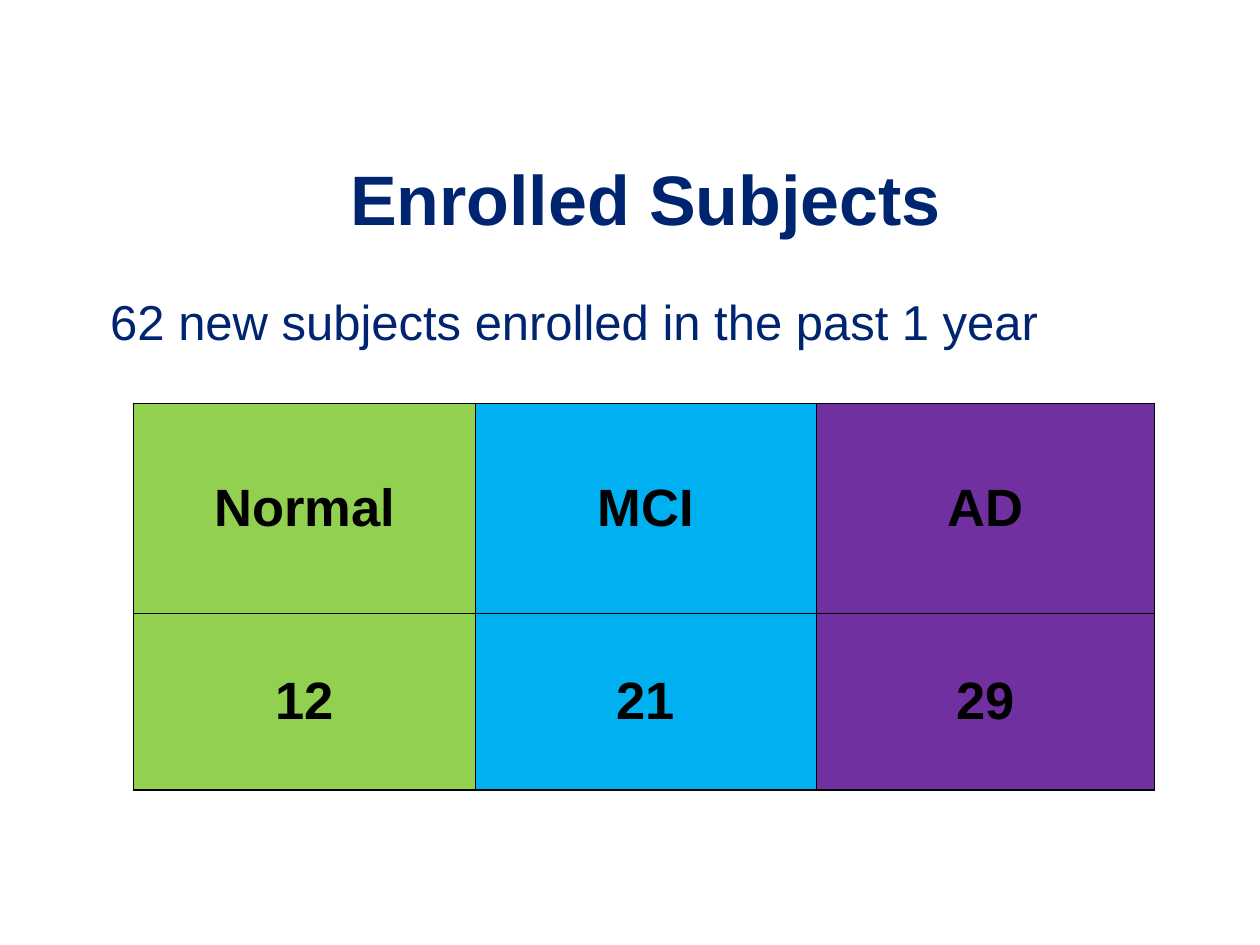
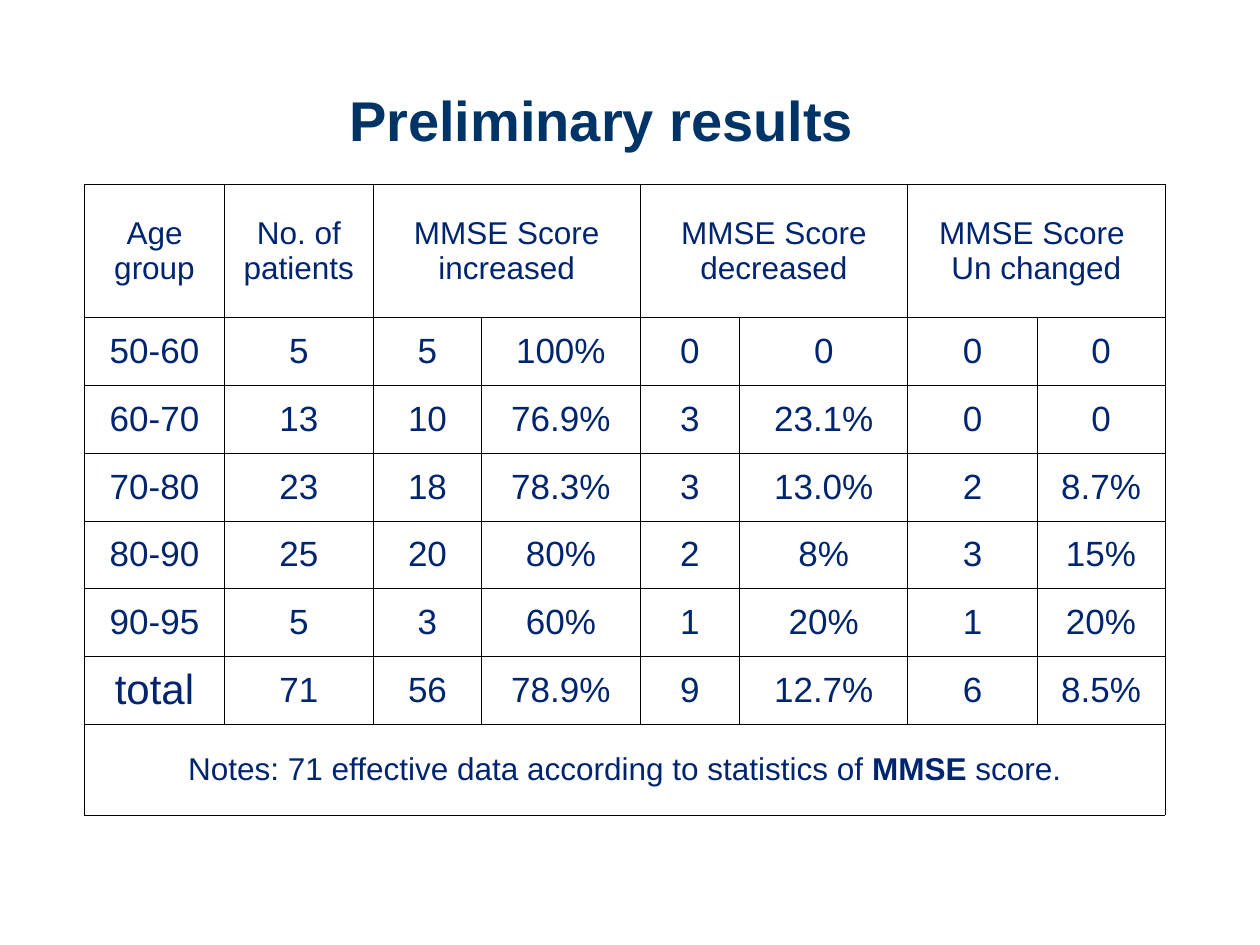
from lxml.etree import SubElement
from pptx import Presentation
from pptx.dml.color import RGBColor
from pptx.enum.text import MSO_ANCHOR, MSO_AUTO_SIZE, PP_ALIGN
from pptx.oxml.ns import qn
from pptx.util import Pt

COLORS = {
    "navy": "002570",
    "title_blue": "003366",
    "black": "000000",
    "green": "92D050",
    "blue": "00B0F0",
    "purple": "7030A0",
}
FONT = "Arial"
THIN, THICK = 0.45, 1.08


def add_runs(paragraph, runs, size, color):
    paragraph.alignment = PP_ALIGN.CENTER
    paragraph.space_before = Pt(0)
    for text, bold in runs:
        run = paragraph.add_run()
        run.text = text
        run.font.name = FONT
        run.font.size = Pt(size)
        run.font.bold = bold
        run.font.color.rgb = RGBColor.from_string(COLORS[color])


def format_cell(cell, side_margin, left=THIN, right=THIN, top=THIN, bottom=THIN):
    cell.vertical_anchor = MSO_ANCHOR.MIDDLE
    cell.margin_left = cell.margin_right = Pt(side_margin)
    cell.margin_top = cell.margin_bottom = Pt(3.6)
    properties = cell._tc.get_or_add_tcPr()
    for side, width in zip("LRTB", (left, right, top, bottom)):
        line = SubElement(properties, qn(f"a:ln{side}"), w=str(Pt(width)))
        fill = SubElement(line, qn("a:solidFill"))
        SubElement(fill, qn("a:srgbClr"), val=COLORS["black"])


presentation = Presentation()
presentation.slide_width = Pt(720)
presentation.slide_height = Pt(540)

slide_specs = [
    # layout, title, size, color, title box, table box, columns, rows
    (1, "Enrolled Subjects", 40, "navy", (121.7, 82.8, 472.3, 60.5),
     (76.3, 230.4), (195.5, 194.5, 193.5), (120, 101)),
    (5, "Preliminary results", 32, "title_blue", (64.8, 49, 558, 38),
     (48.3, 105.6), (80, 85, 62, 90.5, 57, 96, 74, 73), (76, *[38.7] * 6, 52)),
]
slides, tables = [], []
for layout, title_text, size, color, title_box, corner, columns, rows in slide_specs:
    slide = presentation.slides.add_slide(presentation.slide_layouts[layout])
    title = slide.shapes.title
    title.left, title.top, title.width, title.height = map(Pt, title_box)
    title.text_frame.auto_size = MSO_AUTO_SIZE.NONE
    title.text_frame.vertical_anchor = MSO_ANCHOR.MIDDLE
    add_runs(title.text_frame.paragraphs[0], [(title_text, True)], size, color)

    table = slide.shapes.add_table(
        len(rows), len(columns), *map(Pt, corner), Pt(sum(columns)), Pt(sum(rows))
    ).table
    table.first_row = table.horz_banding = False
    for column, width in zip(table.columns, columns):
        column.width = Pt(width)
    for row, height in zip(table.rows, rows):
        row.height = Pt(height)
    slides.append(slide)
    tables.append(table)

enrolled_slide, results_slide = slides
enrolled_table, results_table = tables

enrolled_slide.shapes.title.text_frame.margin_left = Pt(29.4)
body = enrolled_slide.placeholders[1]
body.left, body.top, body.width, body.height = map(Pt, (25.2, 156.2, 669.6, 62.6))
body.text_frame.auto_size = MSO_AUTO_SIZE.NONE
body.text_frame.margin_top = Pt(10.5)
body.text_frame.margin_right = Pt(71.2)
paragraph = body.text_frame.paragraphs[0]
paragraph_properties = paragraph._p.get_or_add_pPr()
paragraph_properties.set("marL", "0")
paragraph_properties.set("indent", "0")
SubElement(paragraph_properties, qn("a:buNone"))
add_runs(paragraph, [("62 new subjects enrolled in the past 1 year", False)], 28, "navy")

groups = [("Normal", "12", "green"), ("MCI", "21", "blue"), ("AD", "29", "purple")]
for column_index, (name, count, color) in enumerate(groups):
    for row_index, text in enumerate((name, count)):
        cell = enrolled_table.cell(row_index, column_index)
        format_cell(
            cell, 7.2,
            left=THICK if column_index == 0 else THIN,
            right=THICK if column_index == 2 else THIN,
            bottom=THICK if row_index == 1 else THIN,
        )
        cell.fill.solid()
        cell.fill.fore_color.rgb = RGBColor.from_string(COLORS[color])
        add_runs(cell.text_frame.paragraphs[0], [(text, True)], 30, "black")

for cell in results_table.iter_cells():
    format_cell(cell, 0.72)
    cell.fill.background()
for column_index in (2, 4, 6):
    results_table.cell(0, column_index).merge(results_table.cell(0, column_index + 1))
results_table.cell(7, 0).merge(results_table.cell(7, 7))

headers = {
    0: ["Age group"],
    1: ["No. of patients"],
    2: ["MMSE Score increased"],
    4: ["MMSE Score decreased"],
    6: ["MMSE Score ", "Un changed"],
}
for column_index, lines in headers.items():
    text_frame = results_table.cell(0, column_index).text_frame
    for line_index, text in enumerate(lines):
        paragraph = text_frame.add_paragraph() if line_index else text_frame.paragraphs[0]
        add_runs(paragraph, [(text, False)], 18, "navy")

results = [
    ("50-60", "5", "5", "100%", "0", "0", "0", "0"),
    ("60-70", "13", "10", "76.9%", "3", "23.1%", "0", "0"),
    ("70-80", "23", "18", "78.3%", "3", "13.0%", "2", "8.7%"),
    ("80-90", "25", "20", "80%", "2", "8%", "3", "15%"),
    ("90-95", "5", "3", "60%", "1", "20%", "1", "20%"),
    ("total", "71", "56", "78.9%", "9", "12.7%", "6", "8.5%"),
]
for row_index, values in enumerate(results, start=1):
    for column_index, text in enumerate(values):
        paragraph = results_table.cell(row_index, column_index).text_frame.paragraphs[0]
        add_runs(paragraph, [(text, False)], 24 if text == "total" else 20, "navy")

notes = [
    ("Notes: 71 effective data according to statistics of ", False),
    ("MMSE", True),
    (" score.", False),
]
add_runs(results_table.cell(7, 0).text_frame.paragraphs[0], notes, 18, "navy")

presentation.save("out.pptx")
